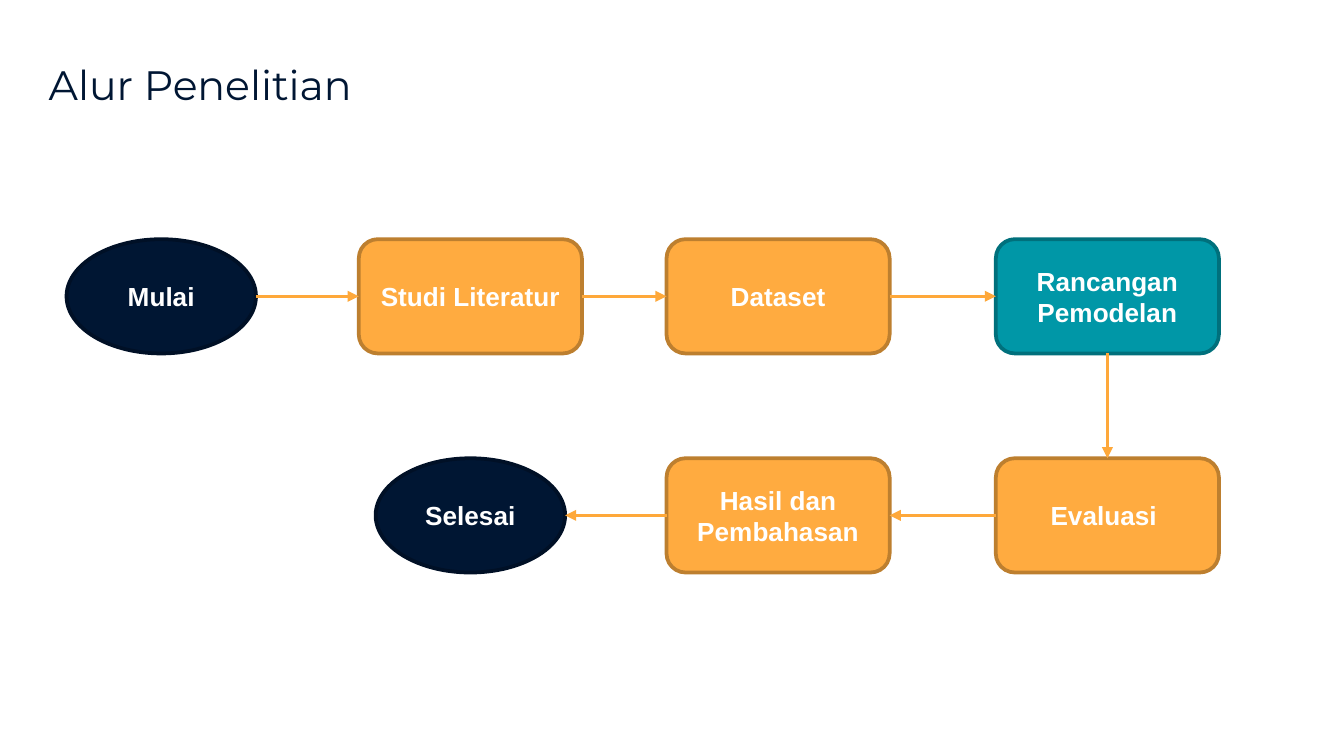
import pptx
import pptx.util
import pptx.dml.color
import pptx.enum.shapes
import pptx.enum.text
import pptx.oxml
import pptx.oxml.ns

Inches = pptx.util.Inches
Pt = pptx.util.Pt
SHAPE = pptx.enum.shapes.MSO_SHAPE
ANCHOR = pptx.enum.text.MSO_ANCHOR
COLORS = {
    "navy": "001633", "navy_edge": "001026",
    "orange": "FFAB40", "orange_edge": "BD7F2F",
    "teal": "0097A7", "teal_edge": "00707C",
    "arrow": "FEA83A", "white": "FFFFFF",
}


def rgb(name):
    return pptx.dml.color.RGBColor.from_string(COLORS[name])


def write(shape, text, anchor, font_values):
    frame = shape.text_frame
    frame.word_wrap = True
    frame.vertical_anchor = anchor
    line = frame.paragraphs[0]
    line.alignment = pptx.enum.text.PP_ALIGN.CENTER
    run = line.add_run()
    run.text = text
    for key, value in font_values.items():
        setattr(run.font, key, value)


# Slide in 16:9
deck = pptx.Presentation()
deck.slide_width = Inches(10)
deck.slide_height = Inches(10 * 9 / 16)
slide = deck.slides.add_slide(deck.slide_layouts[6])

# Title
title = slide.shapes.add_textbox(Inches(0.11), Inches(0.44), Inches(2.84), Inches(0.47))
write(title, "Alur Penelitian ", ANCHOR.BOTTOM, {"name": "Montserrat", "size": Pt(22)})
title.text_frame.paragraphs[0].runs[0].font.color.rgb = rgb("navy")
for side in ("margin_top", "margin_bottom"):
    setattr(title.text_frame, side, Inches(0.1))

# Steps, in flow order: text, column centre, row top, outline, colour
upper, lower = 1.78, 3.41
columns = [1.2, 3.5, 5.79, 8.24]
widths = {SHAPE.OVAL: 1.41, SHAPE.ROUNDED_RECTANGLE: 1.66}
flow = [
    ("Mulai", columns[0], upper, SHAPE.OVAL, "navy"),
    ("Studi Literatur", columns[1], upper, SHAPE.ROUNDED_RECTANGLE, "orange"),
    ("Dataset", columns[2], upper, SHAPE.ROUNDED_RECTANGLE, "orange"),
    ("Rancangan Pemodelan", columns[3], upper, SHAPE.ROUNDED_RECTANGLE, "teal"),
    ("Evaluasi ", columns[3], lower, SHAPE.ROUNDED_RECTANGLE, "orange"),
    ("Hasil dan Pembahasan", columns[2], lower, SHAPE.ROUNDED_RECTANGLE, "orange"),
    ("Selesai", columns[1], lower, SHAPE.OVAL, "navy"),
]
step_font = {"name": "Arial", "size": Pt(14), "bold": True}
steps = []
for text, centre, top, outline, color in flow:
    width = widths[outline]
    step = slide.shapes.add_shape(
        outline, Inches(centre - width / 2), Inches(top), Inches(width), Inches(0.85))
    step.shadow.inherit = False
    step.fill.solid()
    step.fill.fore_color.rgb = rgb(color)
    step.line.color.rgb = rgb(color + "_edge")
    step.line.width = Pt(2)
    write(step, text, ANCHOR.MIDDLE, step_font)
    step.text_frame.paragraphs[0].runs[0].font.color.rgb = rgb("white")
    steps.append(step)

# Arrows from each step to the next: leaving side, arriving side
TOP, LEFT, BOTTOM, RIGHT = range(4)
routes = [(RIGHT, LEFT)] * 3 + [(BOTTOM, TOP)] + [(LEFT, RIGHT)] * 2
for source, target, (leaving, arriving) in zip(steps, steps[1:], routes):
    ends = []
    for step, side in ((source, leaving), (target, arriving)):
        across = {LEFT: 0, RIGHT: step.width}.get(side, step.width // 2)
        down = {TOP: 0, BOTTOM: step.height}.get(side, step.height // 2)
        ends += [step.left + across, step.top + down]
    arrow = slide.shapes.add_connector(pptx.enum.shapes.MSO_CONNECTOR.STRAIGHT, *ends)
    # An ellipse numbers its sides differently, so only rectangles are joined
    if source.auto_shape_type != SHAPE.OVAL:
        arrow.begin_connect(source, leaving)
    if target.auto_shape_type != SHAPE.OVAL:
        arrow.end_connect(target, arriving)
    arrow.line.color.rgb = rgb("arrow")
    arrow.line.width = Pt(1.5)
    head = pptx.oxml.parse_xml(
        '<a:tailEnd %s type="triangle"/>' % pptx.oxml.ns.nsdecls("a"))
    arrow.line._get_or_add_ln().append(head)
    arrow._element.spPr.append(
        pptx.oxml.parse_xml("<a:effectLst %s/>" % pptx.oxml.ns.nsdecls("a")))

deck.save("out.pptx")
